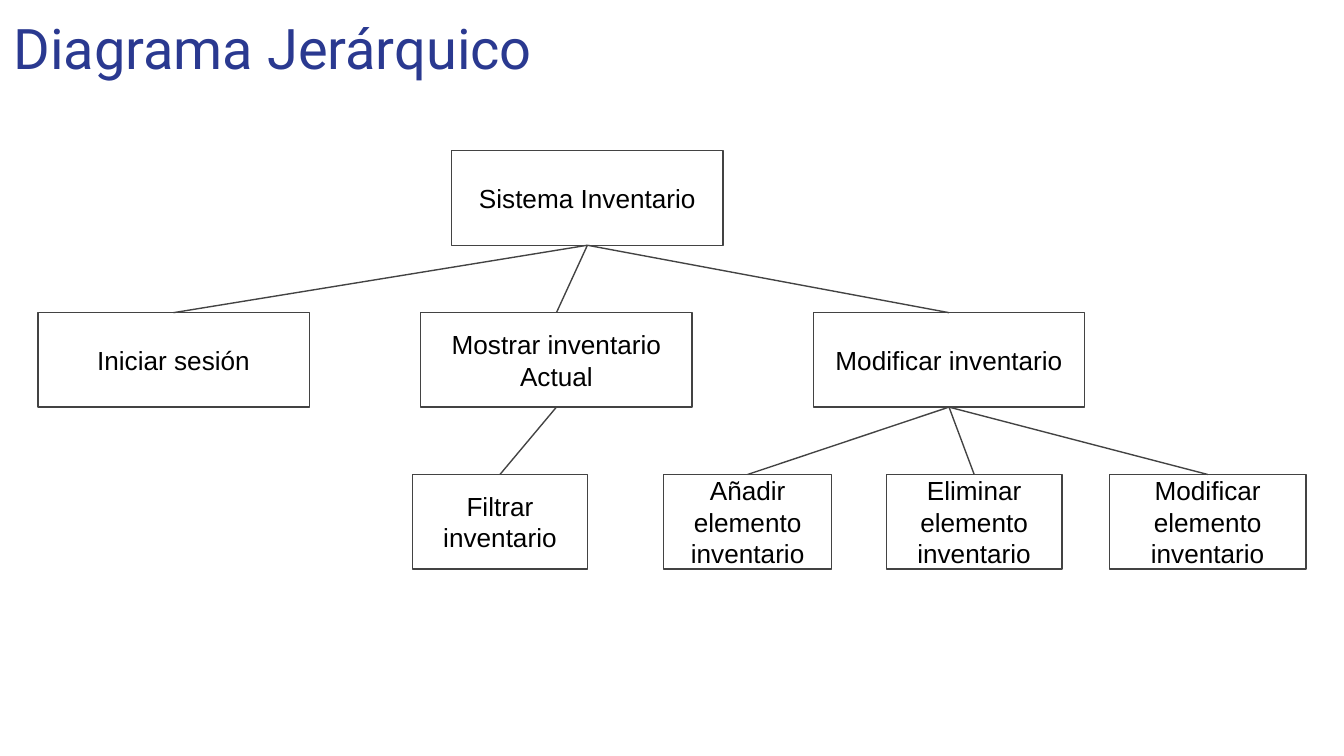
from dataclasses import dataclass
from typing import Optional

from pptx import Presentation
from pptx.dml.color import RGBColor as RGB
from pptx.enum.shapes import MSO_CONNECTOR as Line, MSO_SHAPE as Form
from pptx.enum.text import MSO_ANCHOR as Anchor, MSO_AUTO_SIZE as Fit, PP_ALIGN as Align
from pptx.oxml.ns import qn
from pptx.util import Pt
from lxml.etree import SubElement


@dataclass(frozen=True)
class Theme:
    title: RGB = RGB(0x2A, 0x39, 0x90)
    text: RGB = RGB(0, 0, 0)
    fill: RGB = RGB(0xFF, 0xFF, 0xFF)
    line: RGB = RGB(0x43, 0x43, 0x43)
    head_font: str = "Roboto"
    body_font: str = "Arial"
    head_size: float = 30
    body_size: float = 14
    stroke: float = 0.75
    inset: float = 7.2


@dataclass(frozen=True)
class Node:
    key: str
    text: str
    level: int
    left: float
    wide: float
    up: Optional[str] = None


THEME = Theme()
TOP, STEP, HIGH, WIDE = 80.8, 86.7, 50.6, 145.4

# Tree: each node names its parent
NODES = [
    Node("root", "Sistema Inventario", 0, 242, WIDE),
    Node("login", "Iniciar sesión", 1, 20.3, WIDE, "root"),
    Node("show", "Mostrar inventario Actual", 1, 225.4, WIDE, "root"),
    Node("edit", "Modificar inventario", 1, 435.7, WIDE, "root"),
    Node("filter", "Filtrar inventario", 2, 220.9, 93.9, "show"),
    Node("add", "Añadir elemento inventario", 2, 355.6, 89.9, "edit"),
    Node("drop", "Eliminar elemento inventario", 2, 474.9, 94, "edit"),
    Node("change", "Modificar elemento inventario", 2, 594.3, 105.4, "edit"),
]


def set_text(shape, text: str, font: str, size: float, color: RGB,
             align: Align, anchor: Anchor) -> None:
    frame = shape.text_frame
    frame.text = text
    frame.word_wrap = True
    frame.auto_size = Fit.NONE
    frame.vertical_anchor = anchor
    frame.margin_left = frame.margin_right = Pt(THEME.inset)
    frame.margin_top = frame.margin_bottom = Pt(THEME.inset)
    para = frame.paragraphs[0]
    para.alignment = align
    face = para.runs[0].font
    face.name, face.size = font, Pt(size)
    face.color.rgb = color


def draw_title(slide, text: str) -> None:
    title = slide.shapes.title
    title.left, title.top = Pt(0), Pt(0)
    title.width, title.height = Pt(671), Pt(47.5)
    set_text(title, text, THEME.head_font, THEME.head_size, THEME.title,
             Align.LEFT, Anchor.TOP)


def draw_node(slide, node: Node):
    box = slide.shapes.add_shape(
        Form.RECTANGLE, Pt(node.left), Pt(TOP + node.level * STEP),
        Pt(node.wide), Pt(HIGH))
    box.shadow.inherit = False
    box.fill.solid()
    box.fill.fore_color.rgb = THEME.fill
    box.line.color.rgb = THEME.line
    box.line.width = Pt(THEME.stroke)
    set_text(box, node.text, THEME.body_font, THEME.body_size, THEME.text,
             Align.CENTER, Anchor.MIDDLE)
    return box


def draw_link(slide, upper, lower) -> None:
    link = slide.shapes.add_connector(Line.STRAIGHT, Pt(0), Pt(0), Pt(0), Pt(0))
    link.begin_connect(upper, 2)  # bottom centre
    link.end_connect(lower, 0)  # top centre
    link.line.color.rgb = THEME.line
    link.line.width = Pt(THEME.stroke)
    SubElement(link._element.spPr, qn("a:effectLst"))


def main() -> None:
    deck = Presentation()
    deck.slide_width, deck.slide_height = Pt(720), Pt(405)
    slide = deck.slides.add_slide(deck.slide_layouts[5])
    draw_title(slide, "Diagrama Jerárquico")

    # Boxes first, then the lines between them
    boxes = {node.key: draw_node(slide, node) for node in NODES}
    for node in NODES:
        if node.up:
            draw_link(slide, boxes[node.up], boxes[node.key])

    deck.save("out.pptx")


if __name__ == "__main__":
    main()
